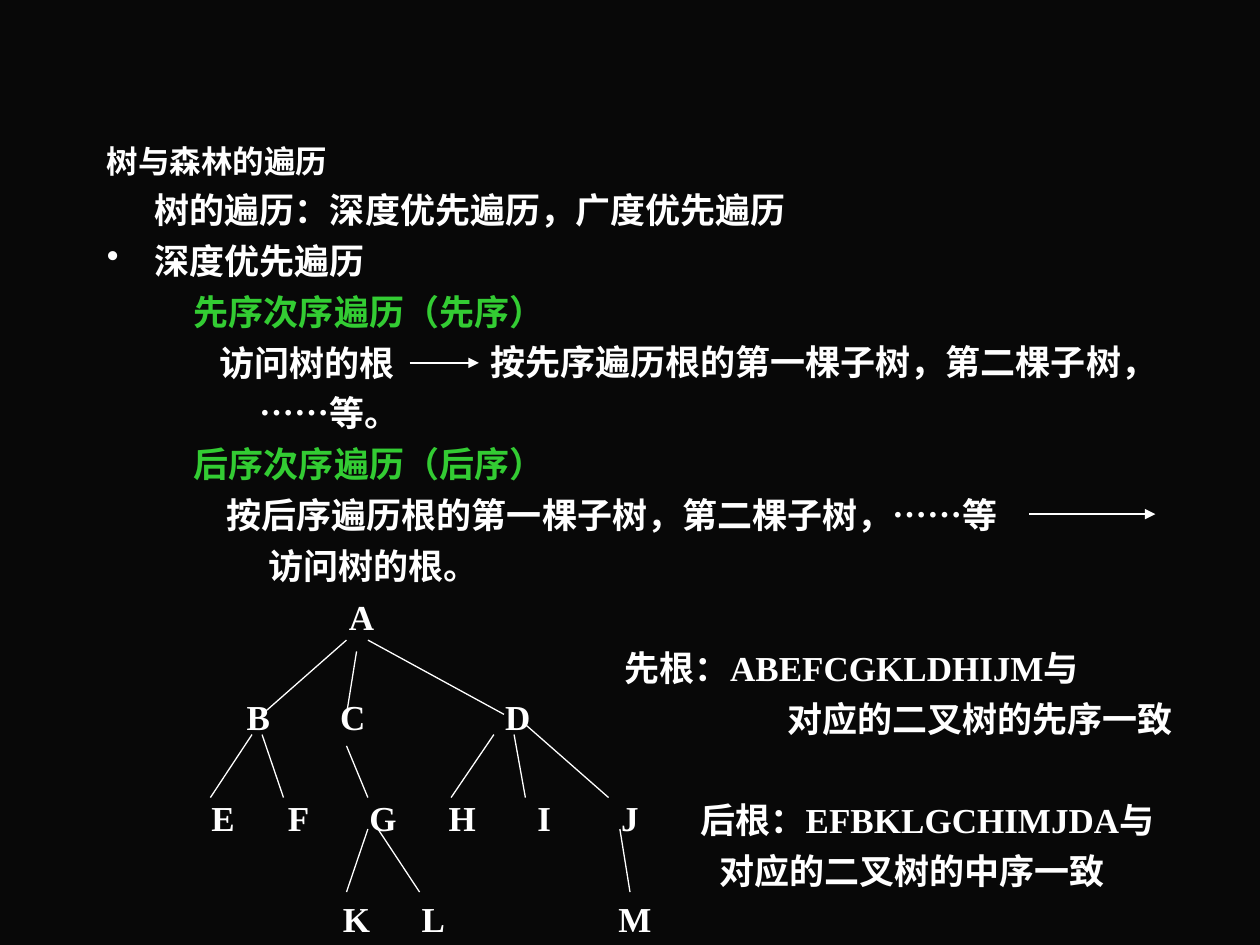
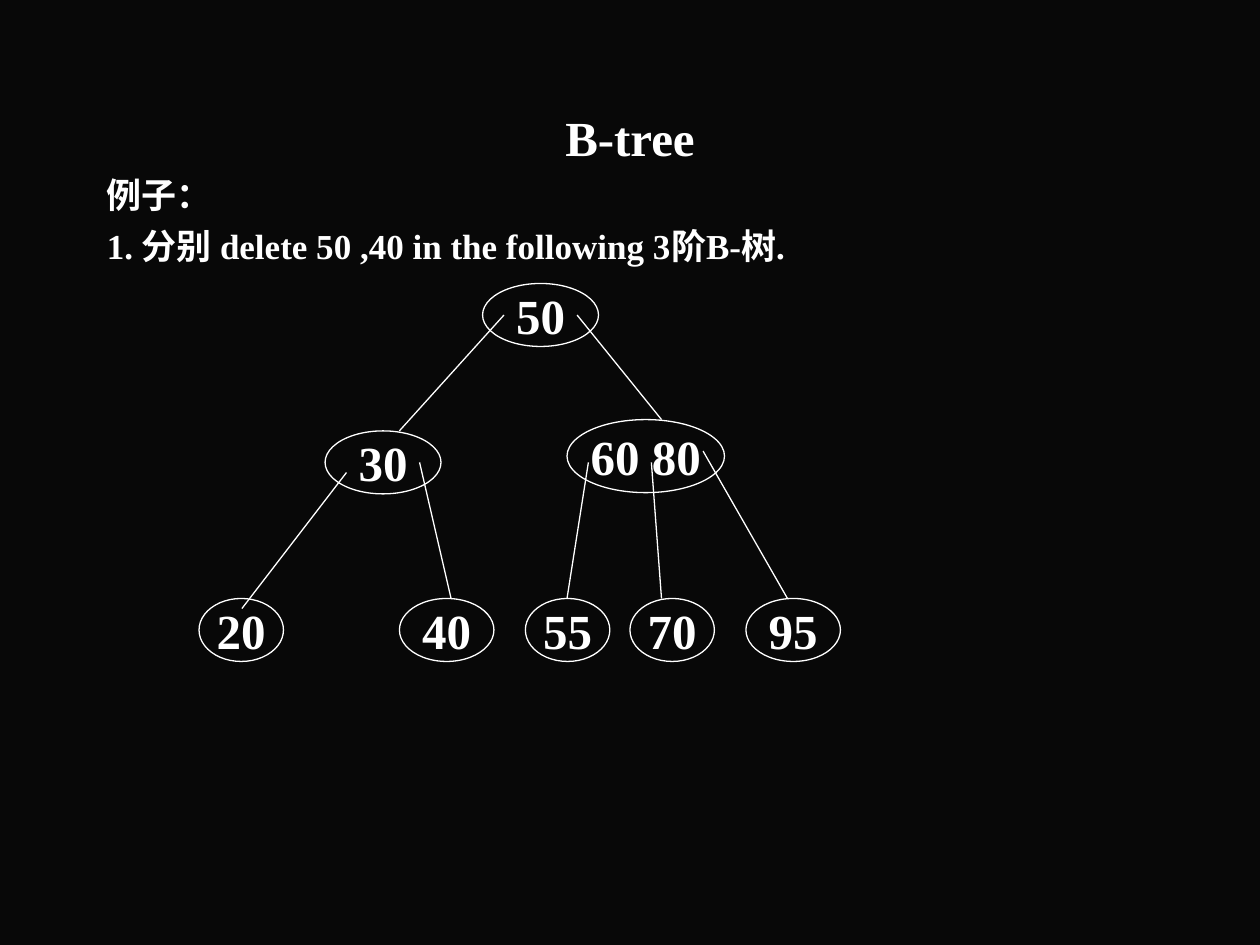
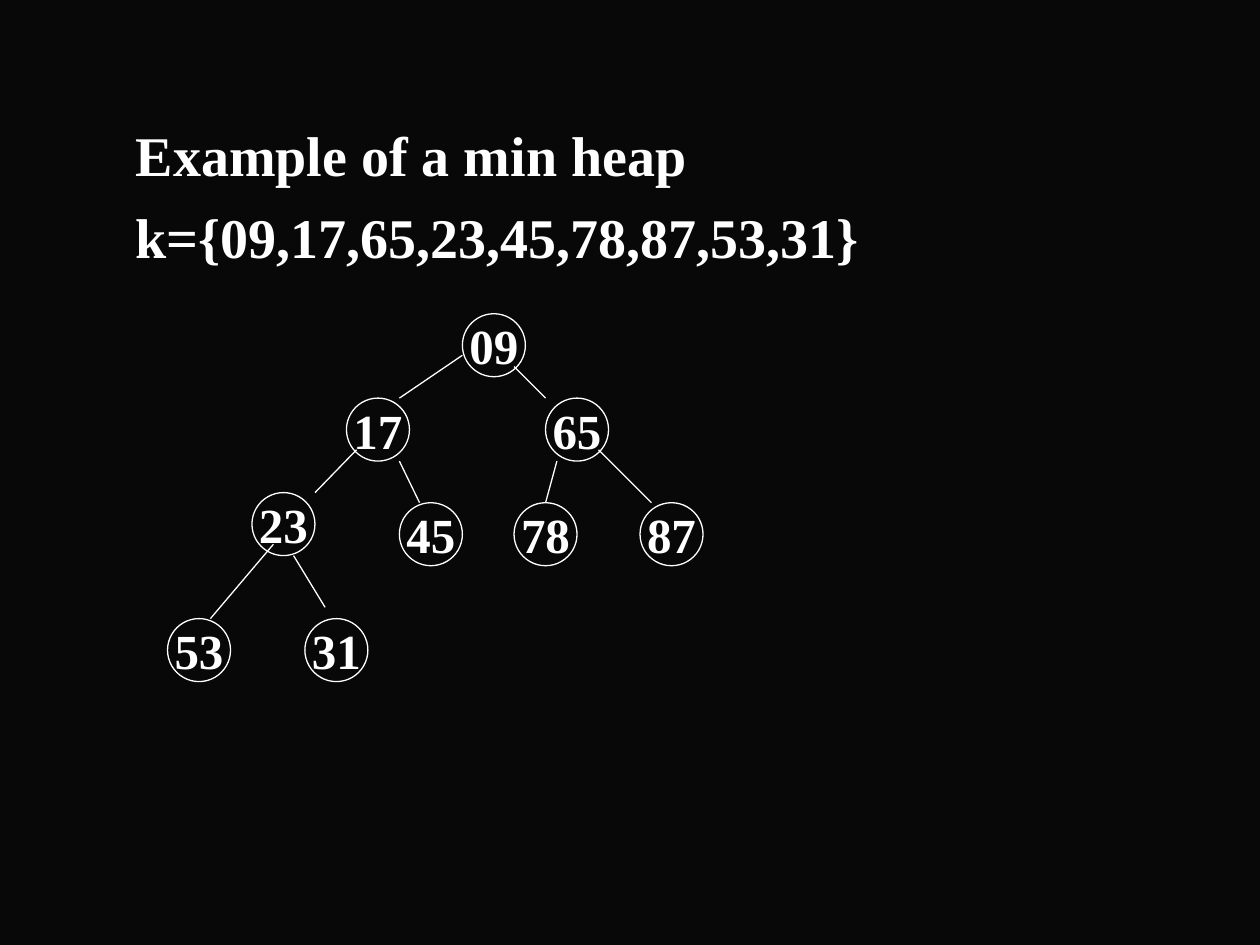
import pptx
import pptx.util
import pptx.dml.color
import pptx.enum.shapes
import pptx.enum.text
import pptx.oxml.ns
from lxml import etree

Inches = pptx.util.Inches
Pt = pptx.util.Pt
PP_ALIGN = pptx.enum.text.PP_ALIGN
MSO_ANCHOR = pptx.enum.text.MSO_ANCHOR

BLACK = pptx.dml.color.RGBColor(0x08, 0x08, 0x08)
WHITE = pptx.dml.color.RGBColor(0xFF, 0xFF, 0xFF)
GREEN = pptx.dml.color.RGBColor(0x33, 0xCC, 0x33)
FONT = "Times New Roman"
TITLE_ONLY, BLANK = 5, 6
HANGING = 0.38
SPACE_RATIO = 0.25

TRAVERSAL_TEXT = [
    ("树与森林的遍历", 0, 18, WHITE),
    ("树的遍历：深度优先遍历，广度优先遍历", 0.38, 20, WHITE),
    ("深度优先遍历", "bullet", 20, WHITE),
    ("先序次序遍历（先序）", 0.69, 20, GREEN),
    ("访问树的根", 0.89, 20, WHITE),
    ("……等。", 1.21, 20, WHITE),
    ("后序次序遍历（后序）", 0.69, 20, GREEN),
    ("按后序遍历根的第一棵子树，第二棵子树，……等", 0.95, 20, WHITE),
    ("访问树的根。", 1.28, 20, WHITE),
]
PREORDER_STEP = [("按先序遍历根的第一棵子树，第二棵子树，", 0, 20, WHITE)]
STEP_ARROWS = [(3.25, 2.88, 3.8, 2.88), (8.17, 4.08, 9.17, 4.08)]
PREORDER_TEXT = [
    ("先根：ABEFCGKLDHIJM与", 0, 20, WHITE),
    ("对应的二叉树的先序一致", 1.29, 20, WHITE),
]
POSTORDER_TEXT = [
    ("后根：EFBKLGCHIMJDA与", 0, 20, WHITE),
    ("对应的二叉树的中序一致", 0.15, 20, WHITE),
]
LETTER_ROWS = [
    {"A": 2.87},
    {"B": 2.05, "C": 2.8, "D": 4.11},
    {"E": 1.77, "F": 2.37, "G": 3.04, "H": 3.67, "I": 4.32, "J": 5},
    {"K": 2.83, "L": 3.44, "M": 5.04},
]
LETTER_TOP, LETTER_PITCH, LETTER_SIZE = 4.72, 0.8, 0.34
LETTER_BRANCHES = [
    (2.75, 5.08, 2.08, 5.67), (2.83, 5.17, 2.75, 5.67), (2.92, 5.08, 4, 5.67),
    (2, 5.83, 1.67, 6.33), (2.08, 5.83, 2.25, 6.33), (2.75, 5.92, 2.92, 6.33),
    (3.92, 5.83, 3.58, 6.33), (4.08, 5.83, 4.17, 6.33), (4.17, 5.75, 4.83, 6.33),
    (2.92, 6.58, 2.75, 7.08), (3, 6.58, 3.33, 7.08), (4.92, 6.58, 5, 7.08),
]

BTREE_TEXT = [
    ("例子：", 0, 20, WHITE),
    ("1. 分别 delete 50 ,40 in the following 3阶B-树.", 0, 20, WHITE),
]
BTREE_NODES = [
    ("50", 3.83, 2.25, 0.92, 0.5), ("30", 2.58, 3.42, 0.92, 0.5),
    ("60 80", 4.5, 3.33, 1.25, 0.58), ("20", 1.58, 4.75, 0.67, 0.5),
    ("40", 3.17, 4.75, 0.75, 0.5), ("55", 4.17, 4.75, 0.67, 0.5),
    ("70", 5, 4.75, 0.67, 0.5), ("95", 5.92, 4.75, 0.75, 0.5),
]
BTREE_BRANCHES = [
    (4, 2.5, 3.17, 3.42), (4.58, 2.5, 5.25, 3.33), (2.75, 3.75, 1.92, 4.83),
    (3.33, 3.67, 3.58, 4.75), (4.67, 3.67, 4.5, 4.75), (5.17, 3.67, 5.25, 4.75),
    (5.58, 3.58, 6.25, 4.75),
]

HEAP_TEXT = [
    ("Example of a min heap", 0.23, 32, WHITE),
    ("k={09,17,65,23,45,78,87,53,31}", 0.23, 32, WHITE),
]
HEAP_NODES = [
    ("09", 3.67, 2.49), ("17", 2.75, 3.16), ("23", 2, 3.91),
    ("45", 3.17, 3.99), ("65", 4.33, 3.16), ("78", 4.08, 3.99),
    ("53", 1.33, 4.91), ("87", 5.08, 3.99), ("31", 2.42, 4.91),
]
HEAP_NODE_SIZE = 0.5
HEAP_BRANCHES = [
    (3.67, 2.82, 3.17, 3.16), (4.08, 2.91, 4.33, 3.16), (2.83, 3.57, 2.5, 3.91),
    (2.17, 4.32, 1.67, 4.91), (3.17, 3.66, 3.33, 3.99), (2.33, 4.41, 2.58, 4.82),
    (4.42, 3.66, 4.33, 3.99), (4.75, 3.57, 5.17, 3.99),
]


def add_element(parent, tag, **attributes):
    element = etree.SubElement(parent, pptx.oxml.ns.qn(tag))
    for name, value in attributes.items():
        element.set(name, value)


def style_runs(para, size, colour=WHITE):
    for span in para.runs:
        span.font.name = FONT
        span.font.size = Pt(size)
        span.font.bold = True
        span.font.color.rgb = colour


def indent_para(para, indent):
    properties = para._p.get_or_add_pPr()
    if indent == "bullet":
        properties.set("marL", str(Inches(HANGING)))
        properties.set("indent", str(-Inches(HANGING)))
        add_element(properties, "a:buChar", char="•")
    else:
        properties.set("marL", "0")
        properties.set("indent", str(Inches(indent)))


def clear_insets(frame):
    frame.margin_left = frame.margin_right = frame.margin_top = frame.margin_bottom = 0


def add_text(page, lines, left, top, width, height, inset=True):
    box = page.shapes.add_textbox(*map(Inches, (left, top, width, height)))
    frame = box.text_frame
    frame.word_wrap = True
    if not inset:
        clear_insets(frame)
    frame.text = "\n".join(line[0] for line in lines)
    for index, (para, line) in enumerate(zip(frame.paragraphs, lines)):
        text, indent, size, colour = line
        indent_para(para, indent)
        if index:
            para.space_before = Pt(size * SPACE_RATIO)
        style_runs(para, size, colour)


def center_text(frame, text, size):
    frame.text = text
    frame.vertical_anchor = MSO_ANCHOR.MIDDLE
    frame.paragraphs[0].alignment = PP_ALIGN.CENTER
    style_runs(frame.paragraphs[0], size)


def add_letter(page, letter, center, top):
    box = page.shapes.add_textbox(
        Inches(center - LETTER_SIZE / 2), Inches(top), Inches(LETTER_SIZE), Inches(LETTER_SIZE))
    box.text_frame.word_wrap = False
    clear_insets(box.text_frame)
    center_text(box.text_frame, letter, 20)


def add_node(page, key, left, top, width, height):
    node = page.shapes.add_shape(
        pptx.enum.shapes.MSO_SHAPE.OVAL, *map(Inches, (left, top, width, height)))
    node.shadow.inherit = False
    node.fill.background()
    node.line.color.rgb = WHITE
    node.line.width = Pt(0.75)
    node.text_frame.word_wrap = False
    center_text(node.text_frame, key, 28)


def add_lines(page, lines, arrow=False):
    for ends in lines:
        line = page.shapes.add_connector(
            pptx.enum.shapes.MSO_CONNECTOR.STRAIGHT, *map(Inches, ends))
        line.line.color.rgb = WHITE
        line.line.width = Pt(0.75)
        if arrow:
            add_element(line.line._get_or_add_ln(), "a:tailEnd", type="triangle")
        add_element(line._element.spPr, "a:effectLst")


def build_traversal(page):
    add_text(page, TRAVERSAL_TEXT, 0.75, 1.08, 8.83, 3.7)
    add_text(page, PREORDER_STEP, 3.89, 2.7, 5.6, 0.36, inset=False)
    add_lines(page, STEP_ARROWS, arrow=True)
    for row, letters in enumerate(LETTER_ROWS):
        for letter, center in letters.items():
            add_letter(page, letter, center, LETTER_TOP + row * LETTER_PITCH)
    add_text(page, PREORDER_TEXT, 4.96, 5.13, 4.6, 0.8, inset=False)
    add_text(page, POSTORDER_TEXT, 5.56, 6.34, 4, 0.8, inset=False)
    add_lines(page, LETTER_BRANCHES)


def build_btree(page):
    title = page.shapes.title
    title.left, title.top, title.width, title.height = map(Inches, (0.75, 0.67, 8.5, 0.83))
    center_text(title.text_frame, "B-tree", 28)
    add_text(page, BTREE_TEXT, 0.75, 1.33, 8.5, 5.33)
    for node in BTREE_NODES:
        add_node(page, *node)
    add_lines(page, BTREE_BRANCHES)


def build_heap(page):
    add_text(page, HEAP_TEXT, 0.75, 0.91, 8.5, 4.5)
    for node in HEAP_NODES:
        add_node(page, *node, HEAP_NODE_SIZE, HEAP_NODE_SIZE)
    add_lines(page, HEAP_BRANCHES)


def main():
    deck = pptx.Presentation()
    deck.slide_width, deck.slide_height = Inches(10), Inches(7.5)
    background = deck.slide_master.background.fill
    background.solid()
    background.fore_color.rgb = BLACK
    for layout, build in ((BLANK, build_traversal), (TITLE_ONLY, build_btree), (BLANK, build_heap)):
        build(deck.slides.add_slide(deck.slide_layouts[layout]))
    deck.save("out.pptx")


if __name__ == "__main__":
    main()
